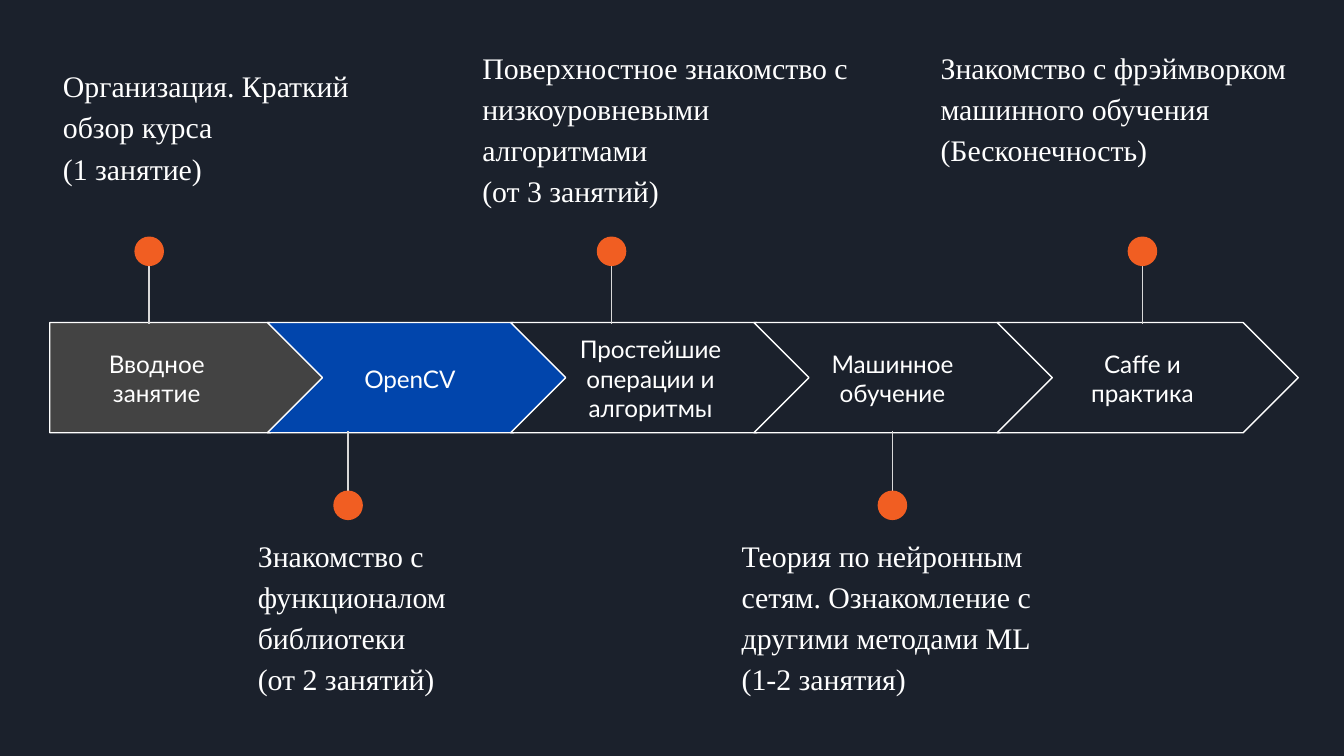
from dataclasses import dataclass

from lxml import etree
from pptx import Presentation
from pptx.dml.color import RGBColor
from pptx.enum.shapes import MSO_CONNECTOR, MSO_SHAPE
from pptx.enum.text import MSO_ANCHOR, PP_ALIGN
from pptx.oxml.ns import qn
from pptx.util import Inches, Pt

STRAIGHT = MSO_CONNECTOR.STRAIGHT
PENTAGON, CHEVRON, OVAL = MSO_SHAPE.PENTAGON, MSO_SHAPE.CHEVRON, MSO_SHAPE.OVAL
TOP, MIDDLE = MSO_ANCHOR.TOP, MSO_ANCHOR.MIDDLE
LEFT, CENTER = PP_ALIGN.LEFT, PP_ALIGN.CENTER

COLORS = {
    "background": "1B212C",
    "intro": "434343",
    "opencv": "0145AC",
    "dot": "F15E22",
    "stem": "D9D9D9",
    "white": "FFFFFF",
}
LABEL_FONT, NOTE_FONT = "Lato", "Times New Roman"

ARROW_TOP, ARROW_HEIGHT = 2.4, 0.82
FIRST_LEFT, FIRST_WIDTH = 0.37, 2.05
CHEVRON_LEFT, CHEVRON_WIDTH, CHEVRON_STEP = 1.99, 2.24, 1.81
LABEL_TOP, LABEL_HEIGHT = 2.56, 0.51
DOT_SIZE = 0.22


@dataclass
class Stage:
    label: str
    label_left: float
    label_width: float
    fill: str
    pin_x: float
    above: bool
    note: str
    note_box: tuple
    note_anchor: int = TOP
    space_after: int = 0


STAGES = [
    Stage("Вводное занятие", 0.37, 1.59, "intro", 1.11, True,
          "Организация. Краткий обзор курса \n(1 занятие)",
          (0.37, 0.43, 2.45, 0.99), MIDDLE, 16),
    Stage("OpenCV", 2.33, 1.44, "opencv", 2.59, False,
          "Знакомство с функционалом библиотеки \n(от 2 занятий)",
          (1.82, 3.86, 2.45, 0.99)),
    Stage("Простейшие операции и алгоритмы", 4.12, 1.44, "background", 4.55, True,
          "Поверхностное знакомство с низкоуровневыми алгоритмами\n(от 3 занятий)",
          (3.49, 0.23, 3.08, 1.44)),
    Stage("Машинное обучение", 5.92, 1.44, "background", 6.64, False,
          "Теория по нейронным сетям. Ознакомление с другими методами ML\n(1-2 занятия)",
          (5.42, 3.86, 2.45, 0.99)),
    Stage("Caffe и практика", 7.78, 1.44, "background", 8.5, True,
          "Знакомство с фрэймворком машинного обучения\n(Бесконечность)",
          (6.9, 0.23, 2.88, 1.05)),
]


def color(name):
    return RGBColor.from_string(COLORS[name])


class Timeline:
    """Holds the slide and the style of its elements."""

    def __init__(self, slide):
        self.slide = slide
        slide.background.fill.solid()
        slide.background.fill.fore_color.rgb = color("background")

    def shape(self, parent, kind, box, fill, line=None):
        shape = parent.add_shape(kind, *map(Inches, box))
        shape.shadow.inherit = False
        shape.fill.solid()
        shape.fill.fore_color.rgb = color(fill)
        if line:
            shape.line.color.rgb = color(line)
            shape.line.width = Pt(0.75)
        else:
            shape.line.fill.background()

    def arrow(self, index, fill):
        if index == 0:
            kind, left, width = PENTAGON, FIRST_LEFT, FIRST_WIDTH
        else:
            kind, width = CHEVRON, CHEVRON_WIDTH
            left = CHEVRON_LEFT + (index - 1) * CHEVRON_STEP
        self.shape(self.slide.shapes, kind,
                   (left, ARROW_TOP, width, ARROW_HEIGHT), fill, "white")

    def pin(self, x, above):
        start, end, dot_top = (1.8, 2.41, 1.76) if above else (3.82, 3.21, 3.65)
        group = self.slide.shapes.add_group_shape()
        stem = group.shapes.add_connector(
            STRAIGHT, Inches(x), Inches(start), Inches(x), Inches(end))
        stem.line.color.rgb = color("stem")
        stem.line.width = Pt(0.75)
        etree.SubElement(stem._element.spPr, qn("a:effectLst"))
        self.shape(group.shapes, OVAL,
                   (x - DOT_SIZE / 2, dot_top, DOT_SIZE, DOT_SIZE), "dot")

    def text(self, text, box, font, size, align=LEFT, anchor=TOP,
             line_spacing=1.0, space_after=0):
        frame = self.slide.shapes.add_textbox(*map(Inches, box)).text_frame
        frame.word_wrap = True
        frame.vertical_anchor = anchor
        frame.margin_left = frame.margin_right = Inches(0.1)
        frame.margin_top = frame.margin_bottom = Inches(0.1)
        para = frame.paragraphs[0]
        para.text = text
        para.alignment = align
        para.line_spacing = line_spacing
        para.space_after = Pt(space_after)
        for span in para.runs:
            span.font.name = font
            span.font.size = Pt(size)
            span.font.color.rgb = color("white")


def main():
    # Widescreen 16:9 deck
    deck = Presentation()
    deck.slide_width = Inches(10)
    deck.slide_height = Inches(10) * 9 // 16
    timeline = Timeline(deck.slides.add_slide(deck.slide_layouts[6]))

    # Each stage: arrow with its label, pin, and note
    for index, stage in enumerate(STAGES):
        timeline.arrow(index, stage.fill)
        timeline.text(stage.label,
                      (stage.label_left, LABEL_TOP, stage.label_width, LABEL_HEIGHT),
                      LABEL_FONT, 13, CENTER, MIDDLE)
        timeline.pin(stage.pin_x, stage.above)
        timeline.text(stage.note, stage.note_box, NOTE_FONT, 16,
                      anchor=stage.note_anchor, line_spacing=1.15,
                      space_after=stage.space_after)

    deck.save("out.pptx")


if __name__ == "__main__":
    main()
